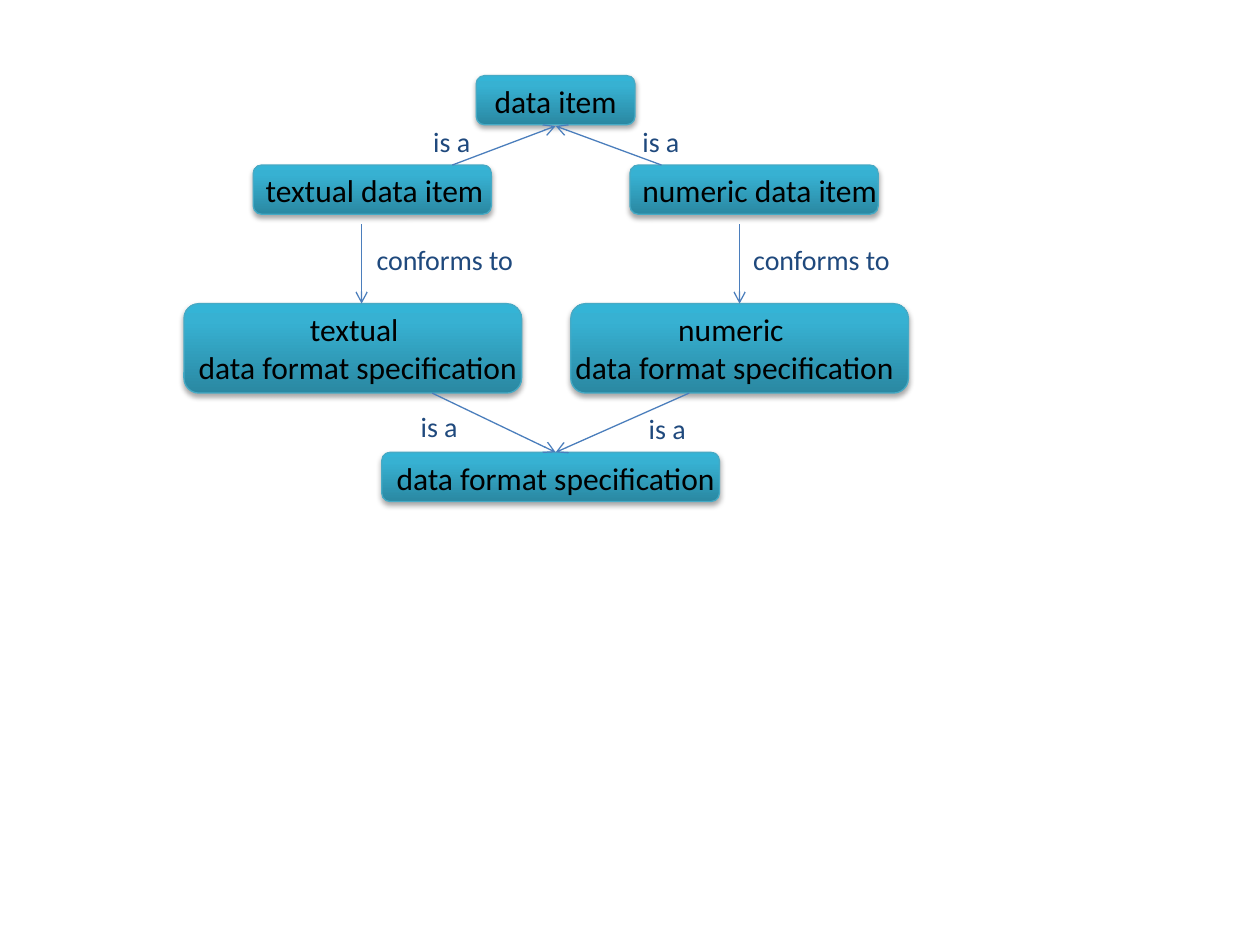
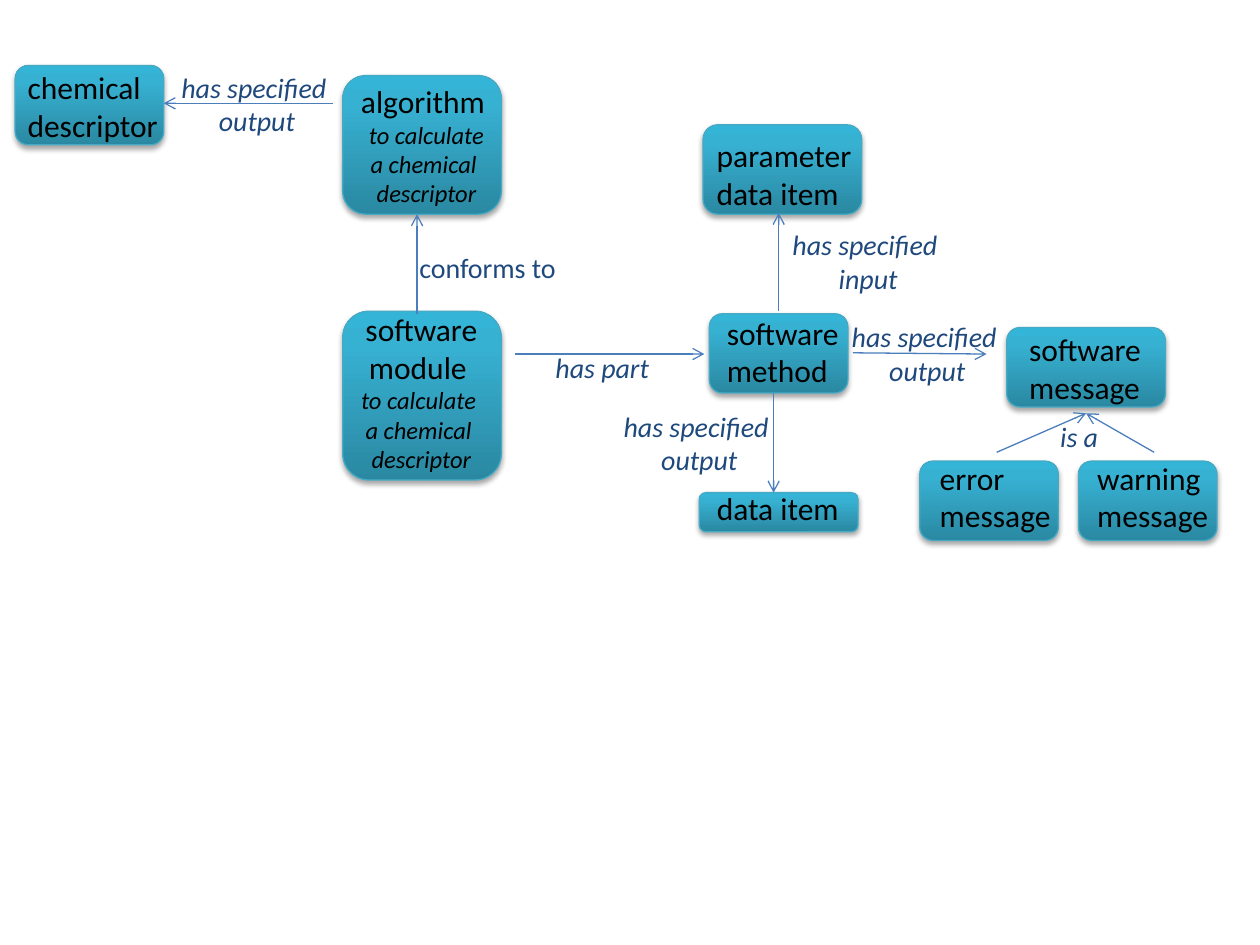
from copy import deepcopy

from lxml import etree
from pptx import Presentation
from pptx.dml.color import RGBColor
from pptx.enum.shapes import MSO_CONNECTOR, MSO_SHAPE
from pptx.enum.text import MSO_AUTO_SIZE, PP_ALIGN
from pptx.oxml import parse_xml
from pptx.oxml.ns import nsdecls, qn
from pptx.util import Inches, Pt

# Shared look
FONT = "Calibri"
BLACK, NAVY = "000000", "1F497D"
BOX_EDGE, ARROW_COLOR = "46AAC5", "4B7EBC"
BOX_STOPS = [(0, "2A88A2"), (80, "37B1D2"), (100, "34B4D6")]
LEFT, CENTER = PP_ALIGN.LEFT, PP_ALIGN.CENTER
TERM_SIZE, DETAIL_SIZE, RELATION_SIZE = 18, 14, 16


def rgb(value):
    return RGBColor.from_string(value)


def add_box(slide, left, top, width, height):
    """Rounded box with a vertical gradient and a soft shadow below."""
    shape = slide.shapes.add_shape(
        MSO_SHAPE.ROUNDED_RECTANGLE, *map(Inches, (left, top, width, height)))
    shape.line.color.rgb = rgb(BOX_EDGE)
    shape.line.width = Pt(0.75)
    stops = "".join(f'<a:gs pos="{pos * 1000}"><a:srgbClr val="{color}"/></a:gs>'
                    for pos, color in BOX_STOPS)
    gradient = parse_xml(
        f'<a:gradFill {nsdecls("a")} rotWithShape="1"><a:gsLst>{stops}</a:gsLst>'
        '<a:lin ang="16200000" scaled="0"/></a:gradFill>')
    properties = shape._element.spPr
    properties.find(qn("a:ln")).addprevious(gradient)
    properties.append(parse_xml(
        f'<a:effectLst {nsdecls("a")}><a:outerShdw blurRad="{Pt(3.1)}" '
        f'dist="{Pt(1.8)}" dir="5400000" rotWithShape="0"><a:srgbClr val="000000">'
        '<a:alpha val="35000"/></a:srgbClr></a:outerShdw></a:effectLst>'))


def add_line_of_text(paragraph, text, size, color, italic):
    """Add a run, after a line break of the same size if it is not the first."""
    line_break = None
    if paragraph.runs:
        paragraph.add_line_break()
        line_break = paragraph._p[-1]
    run = paragraph.add_run()
    run.text = text
    font = run.font
    font.name, font.size, font.italic = FONT, Pt(size), italic
    font.color.rgb = rgb(color)
    if line_break is not None:
        line_break.append(deepcopy(run._r.rPr))


def add_text_frame(slide, at):
    frame = slide.shapes.add_textbox(*map(Inches, at)).text_frame
    frame.word_wrap = False
    frame.auto_size = MSO_AUTO_SIZE.SHAPE_TO_FIT_TEXT
    return frame


def add_term(slide, at, lines, align=LEFT, details=()):
    """Black name of a box, with optional smaller italic lines."""
    paragraph = add_text_frame(slide, at).paragraphs[0]
    paragraph.alignment = align
    for line in lines:
        add_line_of_text(paragraph, line, TERM_SIZE, BLACK, False)
    for line in details:
        add_line_of_text(paragraph, line, DETAIL_SIZE, BLACK, True)


def add_relation(slide, at, lines, italic=False):
    """Blue label of an arrow, one paragraph for each line."""
    frame = add_text_frame(slide, at)
    for index, line in enumerate(lines):
        paragraph = frame.add_paragraph() if index else frame.paragraphs[0]
        paragraph.alignment = CENTER if italic else LEFT
        add_line_of_text(paragraph, line, RELATION_SIZE, NAVY, italic)


def add_arrow(slide, start, end, kind=MSO_CONNECTOR.STRAIGHT):
    """Thin connector with an open arrowhead at its end."""
    connector = slide.shapes.add_connector(kind, *map(Inches, (*start, *end)))
    connector.line.color.rgb = rgb(ARROW_COLOR)
    connector.line.width = Pt(0.75)
    properties = connector._element.spPr
    etree.SubElement(properties.find(qn("a:ln")), qn("a:tailEnd"), type="arrow")
    etree.SubElement(properties, qn("a:effectLst"))


def build_data_items(slide):
    # Boxes
    item_top, spec_top, item_height, spec_height = 1.31, 2.41, 0.39, 0.71
    spec_width = 2.68
    for box in [(5, item_top, 1.97, item_height), (2.01, item_top, 1.89, item_height),
                (4.53, spec_top, spec_width, spec_height),
                (1.46, spec_top, spec_width, spec_height),
                (3.03, 3.59, spec_width, item_height), (3.78, 0.6, 1.26, item_height)]:
        add_box(slide, *box)

    # Terms
    specification = "data format specification"
    add_term(slide, (3.82, 0.6, 1.18, 0.4), ["data item"], CENTER)
    add_term(slide, (3.03, 3.59, 2.76, 0.4), [specification], CENTER)
    for kind, item_left, item_width, spec_left in [("textual", 2.01, 1.95, 1.46),
                                                   ("numeric", 5, 2.09, 4.45)]:
        add_term(slide, (item_left, item_top, item_width, 0.4), [f"{kind} data item"])
        add_term(slide, (spec_left, spec_top, 2.76, spec_height),
                 [f"{kind} ", specification], CENTER)

    # Relations
    for left, top in [(3.34, 0.94), (5, 0.94), (3.24, 3.2), (5.05, 3.22)]:
        add_relation(slide, (left, top, 0.5, 0.37), ["is a"])
    for left in (2.89, 5.88):
        add_relation(slide, (left, 1.88, 1.3, 0.37), ["conforms to"])

    # Arrows
    for left in (3.59, 5.25):
        add_arrow(slide, (left, item_top), (4.41, 1))
    for left in (2.87, 5.87):
        add_arrow(slide, (left, 1.78), (left, spec_top))
    for left in (3.43, 5.47):
        add_arrow(slide, (left, spec_top + spec_height), (4.41, 3.59))


def build_software(slide):
    # Boxes
    for box in [(8.56, 3.66, 1.1, 0.63), (7.3, 3.66, 1.1, 0.63),
                (5.55, 3.91, 1.26, 0.31), (7.99, 2.6, 1.26, 0.63),
                (5.63, 2.49, 1.1, 0.63), (5.58, 0.99, 1.26, 0.71),
                (2.72, 2.47, 1.26, 1.34), (2.72, 0.6, 1.26, 1.1),
                (0.12, 0.52, 1.18, 0.63)]:
        add_box(slide, *box)

    # Terms
    purpose = ["a chemical ", "descriptor"]
    add_term(slide, (2.76, 2.41, 1.17, 1.41), ["software", "module "], CENTER,
             ["to calculate ", *purpose])
    add_term(slide, (2.76, 0.6, 1.25, 1.11), ["algorithm "], CENTER,
             ["to calculate", *purpose])
    for at, lines in [((0.12, 0.49, 1.25, 0.71), ["chemical ", "descriptor"]),
                      ((5.59, 1.03, 1.34, 0.71), ["parameter ", "data item"]),
                      ((5.67, 2.44, 1.1, 0.71), ["software", "method"]),
                      ((5.59, 3.83, 1.18, 0.4), ["data item"]),
                      ((8.07, 2.57, 1.1, 0.71), ["software", "message"]),
                      ((7.36, 3.59, 1.09, 0.71), ["error ", "message"]),
                      ((8.61, 3.59, 1.09, 0.71), ["warning ", "message"])]:
        add_term(slide, at, lines)

    # Relations
    for left, top, role in [(1.33, 0.51, "output"), (6.18, 1.76, "input"),
                            (4.84, 3.2, "output"), (6.65, 2.49, "output")]:
        add_relation(slide, (left, top, 1.37, 0.64), ["has specified", f" {role}"], True)
    add_relation(slide, (4.3, 2.73, 0.96, 0.37), ["has part"], True)
    add_relation(slide, (8.31, 3.28, 0.51, 0.37), ["is a"], True)
    add_relation(slide, (3.23, 1.94, 1.3, 0.37), ["conforms to"])

    # Arrows
    add_arrow(slide, (2.64, 0.82), (1.3, 0.82), MSO_CONNECTOR.ELBOW)
    for start, end in [((3.31, 2.49), (3.31, 1.7)), ((4.09, 2.81), (5.59, 2.81)),
                       ((6.18, 2.47), (6.18, 1.69)), ((6.14, 3.12), (6.14, 3.91)),
                       ((6.77, 2.8), (7.83, 2.81)), ((7.91, 3.59), (8.62, 3.28)),
                       ((9.16, 3.59), (8.62, 3.28))]:
        add_arrow(slide, start, end)


def main():
    deck = Presentation()
    deck.slide_width, deck.slide_height = Inches(10), Inches(7.5)
    for build in (build_data_items, build_software):
        build(deck.slides.add_slide(deck.slide_layouts[6]))
    deck.save("out.pptx")


main()
